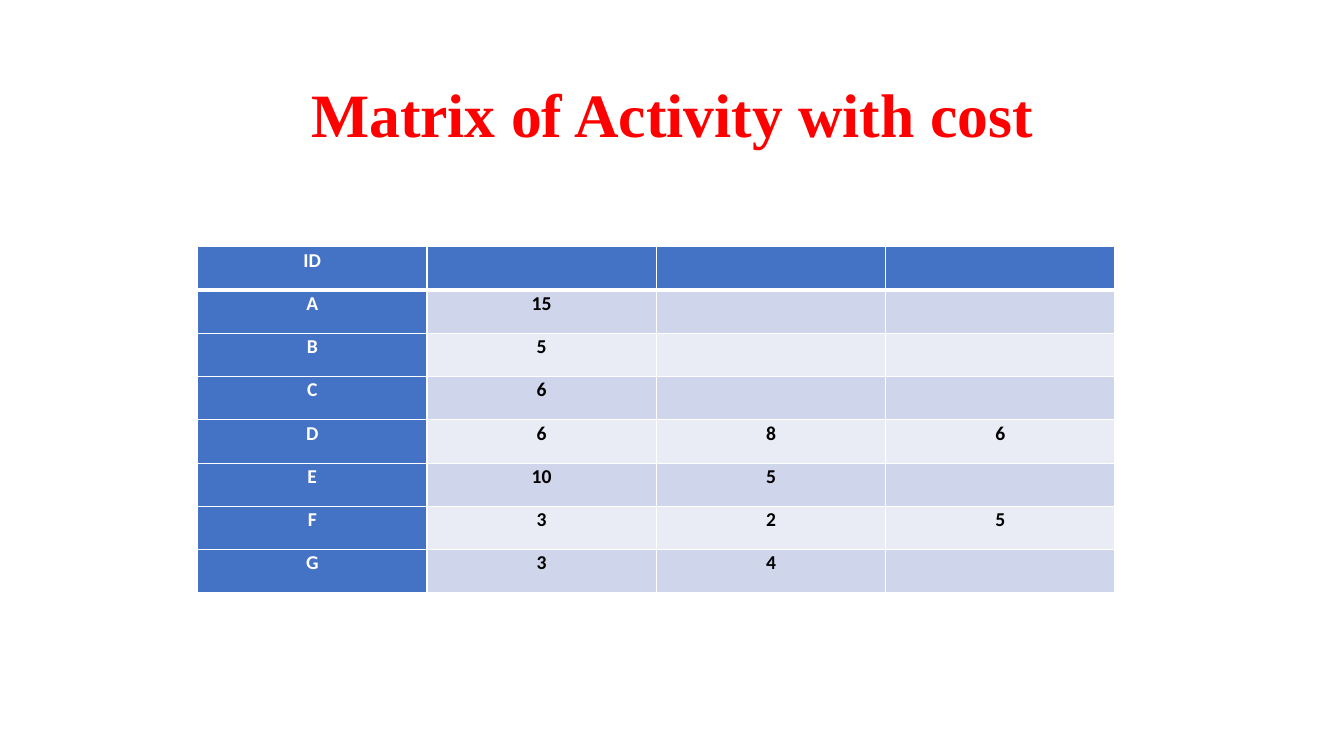
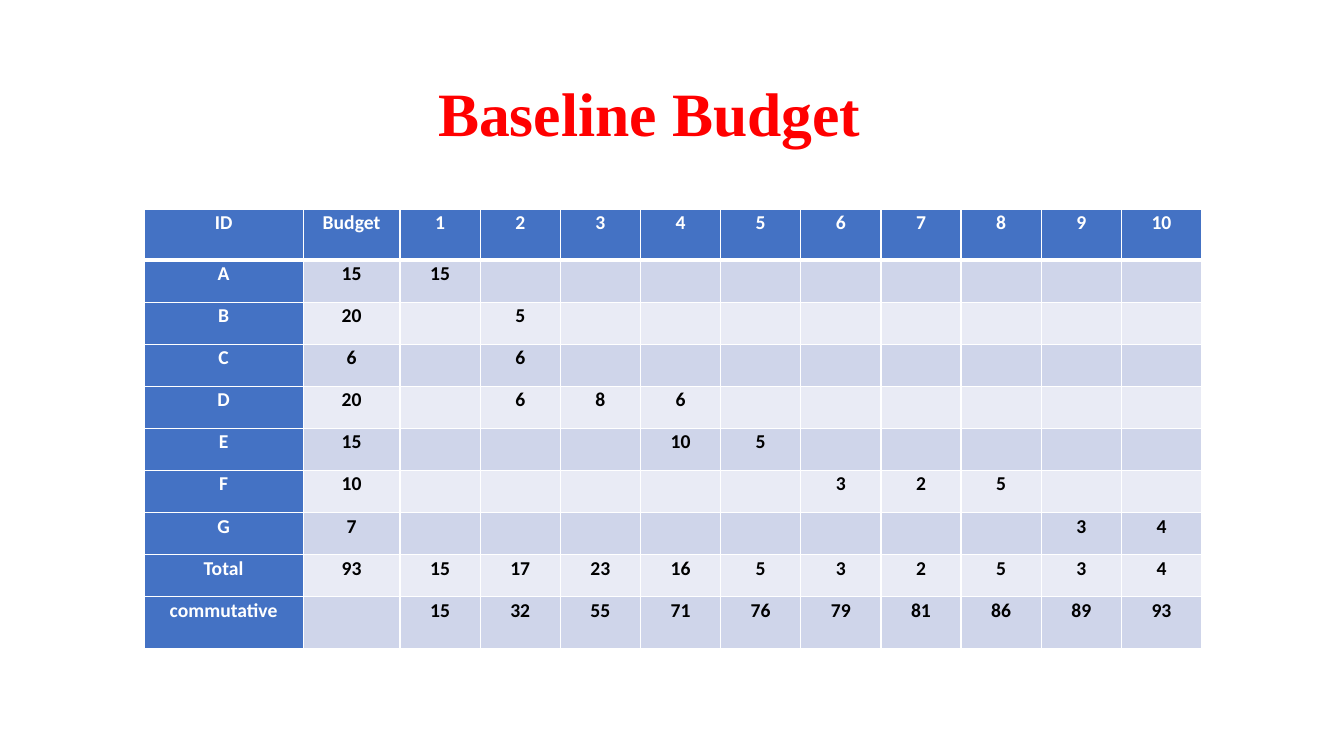
from dataclasses import dataclass
from itertools import accumulate

from lxml import etree
from pptx import Presentation
from pptx import util as u
from pptx.dml.color import RGBColor
from pptx.enum import text
from pptx.oxml import ns


@dataclass(frozen=True)
class Theme:
    title_color: str = "FF0000"
    head_fill: str = "4472C4"
    head_text: str = "FFFFFF"
    body_text: str = "000000"
    band_fills: tuple = ("CFD5EA", "E9EBF5")
    border: str = "FFFFFF"
    thin: int = 1
    thick: int = 3
    title_font: str = "Times New Roman"
    table_font: str = "Calibri"
    title_size: int = 44
    table_size: int = 14


def apply(target, values):
    for name, value in values.items():
        setattr(target, name, value)


class Deck:
    def __init__(self, theme):
        self.theme = theme
        self.file = Presentation()
        apply(self.file, {"slide_width": u.Cm(33.87), "slide_height": u.Cm(19.05)})
        self.page = None

    def new_page(self):
        self.page = self.file.slides.add_slide(self.file.slide_layouts[6])

    def label(self, para, content, color, spacing, font):
        apply(para, {"alignment": text.PP_ALIGN.CENTER, "line_spacing": spacing})
        span = para.add_run()
        span.text = str(content)
        apply(span.font, {"bold": True, **font})
        span.font.color.rgb = RGBColor.from_string(color)

    def title(self, content, left, top, width):
        theme = self.theme
        box = self.page.shapes.add_textbox(u.Cm(left), u.Cm(top), u.Cm(width), u.Cm(3.68))
        frame = box.text_frame
        apply(frame, {"word_wrap": True, "vertical_anchor": text.MSO_ANCHOR.MIDDLE})
        font = {"name": theme.title_font, "size": u.Pt(theme.title_size)}
        self.label(frame.paragraphs[0], content, theme.title_color, 0.9, font)

    def borders(self, cell, row):
        theme = self.theme
        heavy = {0: "lnB", 1: "lnT"}.get(row)
        properties = cell._tc.get_or_add_tcPr()
        for index, side in enumerate(("lnL", "lnR", "lnT", "lnB")):
            points = theme.thick if side == heavy else theme.thin
            line = etree.Element(ns.qn(f"a:{side}"), w=str(u.Pt(points)))
            fill = etree.SubElement(line, ns.qn("a:solidFill"))
            etree.SubElement(fill, ns.qn("a:srgbClr"), val=theme.border)
            properties.insert(index, line)

    def cell(self, cell, row, column, content):
        theme = self.theme
        is_head = row == 0 or column == 0
        margin = u.Cm(0.18)
        apply(cell, {"margin_left": margin, "margin_right": margin,
                     "margin_top": 0, "margin_bottom": 0})
        cell.fill.solid()
        fill = theme.head_fill if is_head else theme.band_fills[(row - 1) % 2]
        cell.fill.fore_color.rgb = RGBColor.from_string(fill)
        self.borders(cell, row)
        if content != "":
            color = theme.head_text if is_head else theme.body_text
            font = {"name": theme.table_font, "size": u.Pt(theme.table_size)}
            self.label(cell.text_frame.paragraphs[0], content, color, 1.07, font)

    def table(self, rows, left, top, widths, heights):
        table = self.page.shapes.add_table(
            len(rows), len(widths), u.Cm(left), u.Cm(top),
            u.Cm(sum(widths)), u.Cm(sum(heights))).table
        apply(table, {"first_row": False, "horz_banding": False})
        for column, width in zip(table.columns, widths):
            column.width = u.Cm(width)
        for row, height in zip(table.rows, heights):
            row.height = u.Cm(height)
        for r, row in enumerate(rows):
            for c, content in enumerate(row):
                self.cell(table.cell(r, c), r, c, content)


PERIODS = 10
ACTIVITIES = [
    ("A", 15, 1, [15]),
    ("B", 20, 2, [5]),
    ("C", 6, 2, [6]),
    ("D", 20, 2, [6, 8, 6]),
    ("E", 15, 4, [10, 5]),
    ("F", 10, 6, [3, 2, 5]),
    ("G", 7, 9, [3, 4]),
]
TOTALS = [15, 17, 23, 16, 5, 3, 2, 5, 3, 4]


def padded(costs, length, start=1):
    before = [""] * (start - 1)
    return before + costs + [""] * (length - len(before) - len(costs))


def cost_rows():
    return [["ID", "", "", ""]] + [
        [name] + padded(costs, 3) for name, budget, start, costs in ACTIVITIES]


def budget_rows():
    activities = [[name, budget] + padded(costs, PERIODS, start)
                  for name, budget, start, costs in ACTIVITIES]
    return [
        ["ID", "Budget", *range(1, PERIODS + 1)],
        *activities,
        ["Total", sum(TOTALS), *TOTALS],
        ["commutative", "", *accumulate(TOTALS)],
    ]


def main():
    deck = Deck(Theme())

    deck.new_page()
    deck.table(cost_rows(), 4.98, 6.22, [5.78] * 4, [1.09] * 8)
    deck.title("Matrix of Activity with cost", 2.34, 1.12, 29.21)

    deck.new_page()
    deck.table(budget_rows(), 3.63, 5.28, [4.01, 2.44] + [2.02] * PERIODS,
               [1.28] + [1.06] * 8 + [1.3])
    deck.title("Baseline Budget", 7.29, 1.09, 18.16)

    deck.file.save("out.pptx")


if __name__ == "__main__":
    main()
